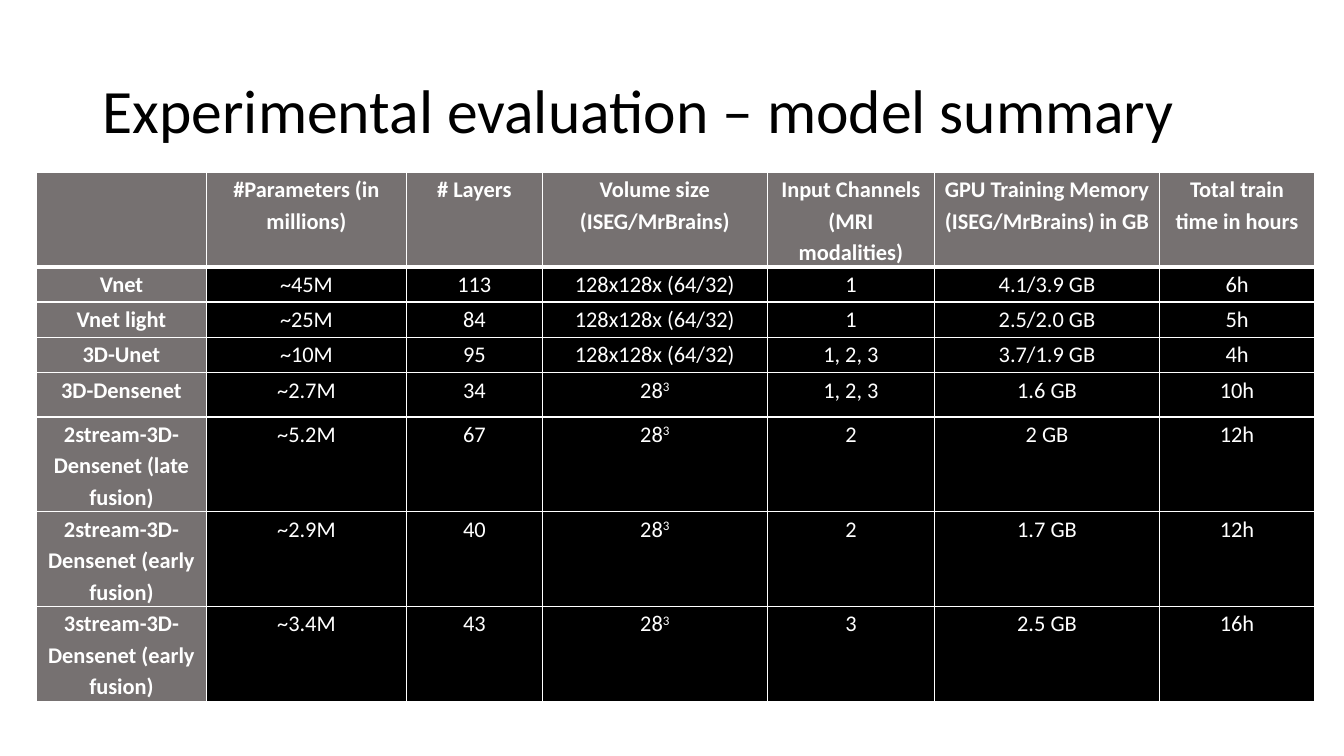
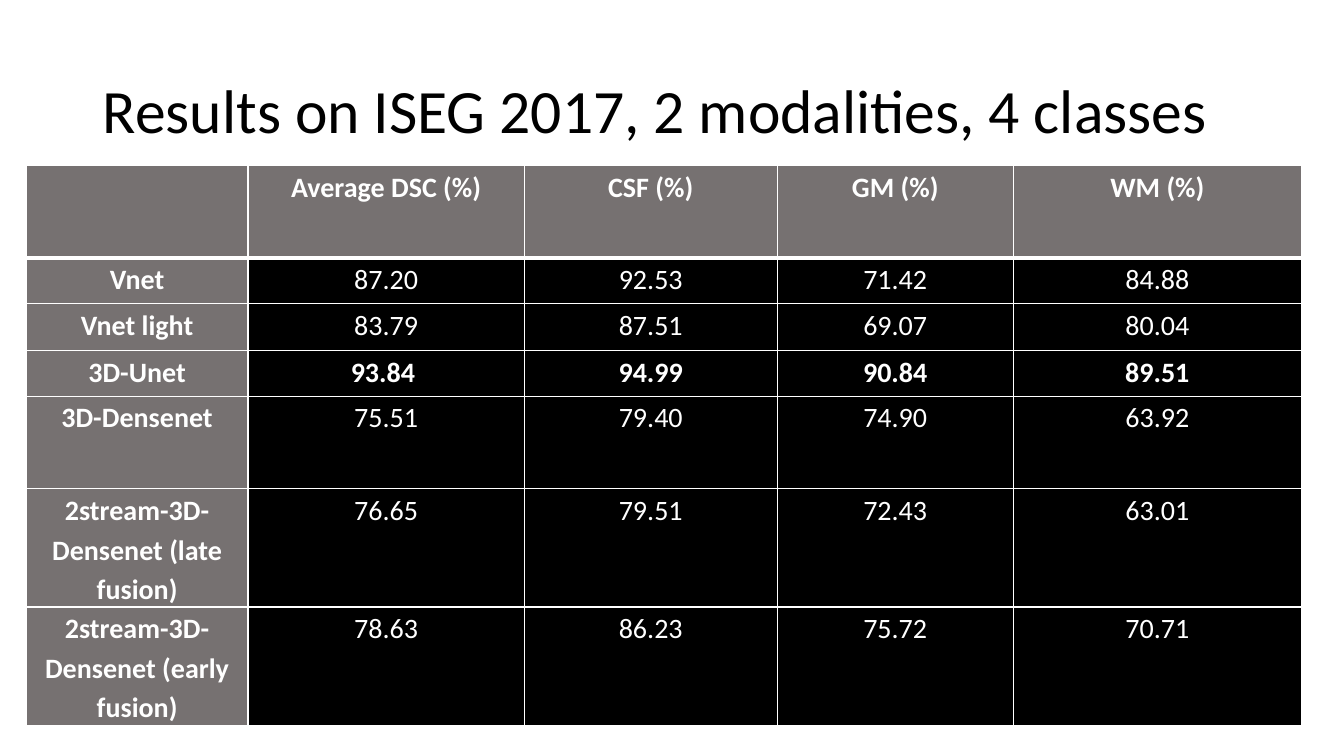
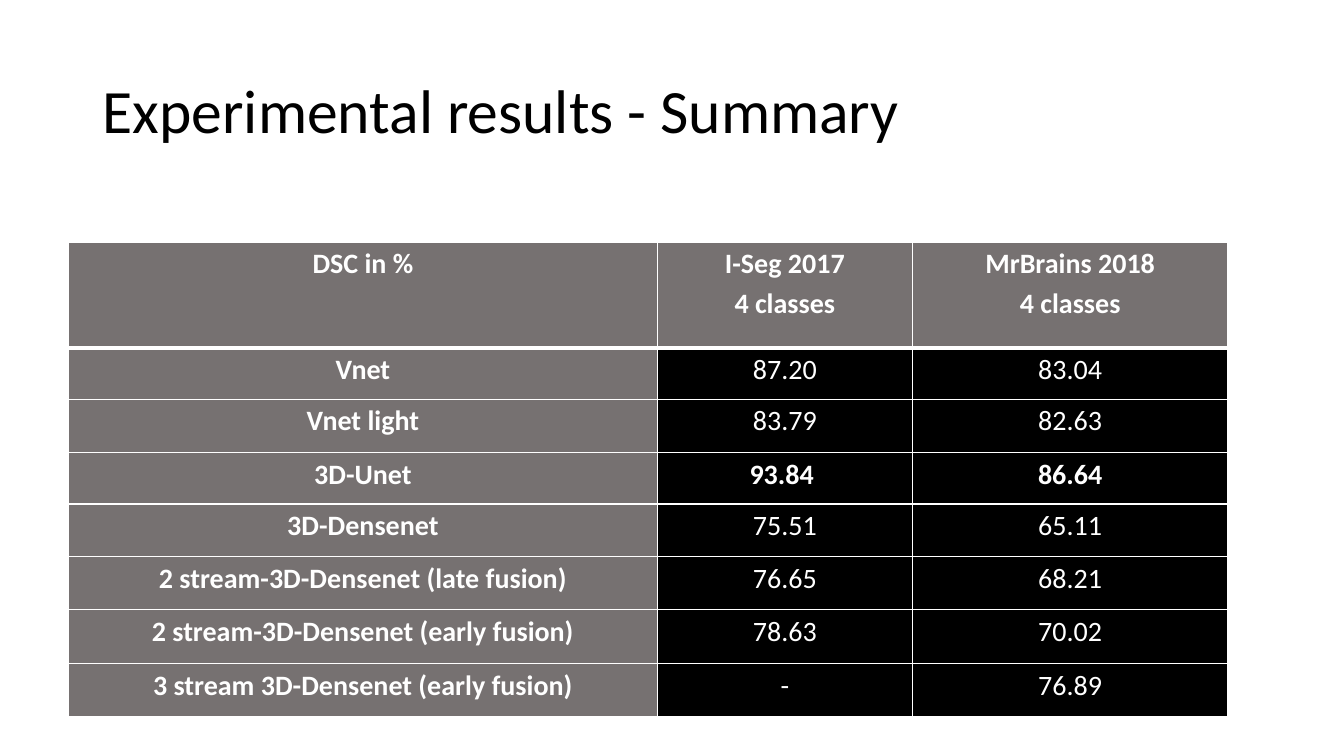
from lxml import etree
from pptx import Presentation
from pptx import util as u
from pptx.dml.color import RGBColor
from pptx.enum import text
from pptx.oxml.ns import qn

PX = 9144  # 100 px to the inch
FONT = "Calibri"
BLACK, WHITE, GRAY = "000000", "FFFFFF", "767171"
TITLE_BOX = (92, 40, 1150, 145)

# In cell text, ^ starts a superscript and a line feed starts a paragraph.
SLIDES = [
    {
        "title": "Experimental evaluation – model summary",
        "corner": (36, 171),
        "size": 16,
        "columns": [169, 198, 135, 223, 166, 223, 154],
        "heights": [93, 35, 35, 35, 44, 94, 94, 94],
        "best_row": None,
        "rows": [
            ["", "#Parameters (in millions)", "# Layers", "Volume size (ISEG/MrBrains)",
             "Input Channels (MRI modalities)", "GPU Training Memory (ISEG/MrBrains) in GB",
             "Total train time in hours"],
            ["Vnet", "~45M", "113", "128x128x (64/32)", "1", "4.1/3.9 GB", "6h"],
            ["Vnet light", "~25M", "84", "128x128x (64/32)", "1", "2.5/2.0 GB", "5h"],
            ["3D-Unet", "~10M", "95", "128x128x (64/32)", "1, 2, 3", "3.7/1.9 GB", "4h"],
            ["3D-Densenet", "~2.7M", "34", "28^3", "1, 2, 3", "1.6 GB", "10h"],
            ["2stream-3D-Densenet (late fusion)", "~5.2M", "67", "28^3", "2", "2 GB", "12h"],
            ["2stream-3D-Densenet (early fusion)", "~2.9M", "40", "28^3", "2", "1.7 GB", "12h"],
            ["3stream-3D-Densenet (early fusion)", "~3.4M", "43", "28^3", "3", "2.5 GB", "16h"],
        ],
    },
    {
        "title": "Results on ISEG 2017, 2 modalities, 4 classes",
        "corner": (26, 164),
        "size": 20,
        "columns": [220, 274, 251, 234, 286],
        "heights": [92, 45, 47, 45, 92, 117, 117],
        "best_row": 3,
        "rows": [
            ["", "Average DSC (%)", "CSF (%)", "GM (%)", "WM (%)"],
            ["Vnet", "87.20", "92.53", "71.42", "84.88"],
            ["Vnet light", "83.79", "87.51", "69.07", "80.04"],
            ["3D-Unet", "93.84 ", "94.99", "90.84", "89.51"],
            ["3D-Densenet", "75.51", "79.40", "74.90", "63.92"],
            ["2stream-3D-Densenet (late fusion)", "76.65", "79.51", "72.43", "63.01"],
            ["2stream-3D-Densenet (early fusion)", "78.63", "86.23", "75.72", "70.71"],
        ],
    },
    {
        "title": "Experimental results - Summary",
        "corner": (68, 240),
        "size": 20,
        "columns": [584, 253, 313],
        "heights": [105, 51, 53, 51, 52, 53, 53, 53],
        "best_row": 3,
        "rows": [
            ["DSC in %", "I-Seg 2017\n4 classes", "MrBrains 2018\n4 classes"],
            ["Vnet", "87.20", "83.04"],
            ["Vnet light", "83.79", "82.63"],
            ["3D-Unet", "93.84 ", "86.64"],
            ["3D-Densenet", "75.51", "65.11"],
            ["2 stream-3D-Densenet (late fusion)", "76.65", "68.21"],
            ["2 stream-3D-Densenet (early fusion)", "78.63", "70.02"],
            ["3 stream 3D-Densenet (early fusion)", "-", "76.89"],
        ],
    },
]


def color(value):
    return RGBColor.from_string(value)


def write(frame, content, size, fill, bold=False, align=None, spacing=1.0):
    for index, line in enumerate(content.split("\n")):
        paragraph = frame.add_paragraph() if index else frame.paragraphs[0]
        paragraph.alignment = align
        paragraph.line_spacing = spacing
        for position, part in enumerate(line.split("^")):
            run = paragraph.add_run()
            run.text = part
            run.font.name = FONT
            run.font.size = u.Pt(size)
            run.font.bold = bold
            run.font.color.rgb = color(fill)
            if position:
                run.font._element.set("baseline", "30000")


def set_borders(cell, widths):
    """Draw white cell borders; widths in points for left, right, top, bottom."""
    properties = cell._tc.get_or_add_tcPr()
    for index, (side, width) in enumerate(zip("LRTB", widths)):
        line = etree.Element(qn(f"a:ln{side}"), w=str(u.Pt(width)))
        solid = etree.SubElement(line, qn("a:solidFill"))
        etree.SubElement(solid, qn("a:srgbClr"), val=WHITE)
        properties.insert(index, line)


def add_title(slide, content):
    title = slide.shapes.title
    title.left, title.top, title.width, title.height = (v * PX for v in TITLE_BOX)
    frame = title.text_frame
    frame.word_wrap = True
    frame.auto_size = text.MSO_AUTO_SIZE.NONE
    frame.vertical_anchor = text.MSO_ANCHOR.MIDDLE
    write(frame, content, 44, BLACK, align=text.PP_ALIGN.LEFT, spacing=0.9)


def add_results_table(slide, corner, size, columns, heights, rows, best_row):
    box = [v * PX for v in (*corner, sum(columns), sum(heights))]
    table = slide.shapes.add_table(len(rows), len(columns), *box).table
    table.horz_banding = False
    for column, width in zip(table.columns, columns):
        column.width = width * PX
    for r, (row, height) in enumerate(zip(rows, heights)):
        table.rows[r].height = height * PX
        for c, content in enumerate(row):
            cell = table.cell(r, c)
            heading = r == 0 or c == 0
            cell.margin_left = cell.margin_right = 7 * PX
            cell.margin_top = cell.margin_bottom = 0
            cell.fill.solid()
            cell.fill.fore_color.rgb = color(GRAY if heading else BLACK)
            set_borders(cell, (1, 1, 3 if r == 1 else 1, 3 if r == 0 else 1))
            if content:
                write(cell.text_frame, content, size, WHITE, bold=heading or r == best_row,
                      align=text.PP_ALIGN.CENTER, spacing=1.15)


def main():
    presentation = Presentation()
    presentation.slide_width = 1333 * PX
    presentation.slide_height = 750 * PX
    title_only = presentation.slide_layouts[5]
    for content in SLIDES:
        slide = presentation.slides.add_slide(title_only)
        add_title(slide, content["title"])
        add_results_table(slide, **{k: v for k, v in content.items() if k != "title"})
    presentation.save("out.pptx")


if __name__ == "__main__":
    main()
